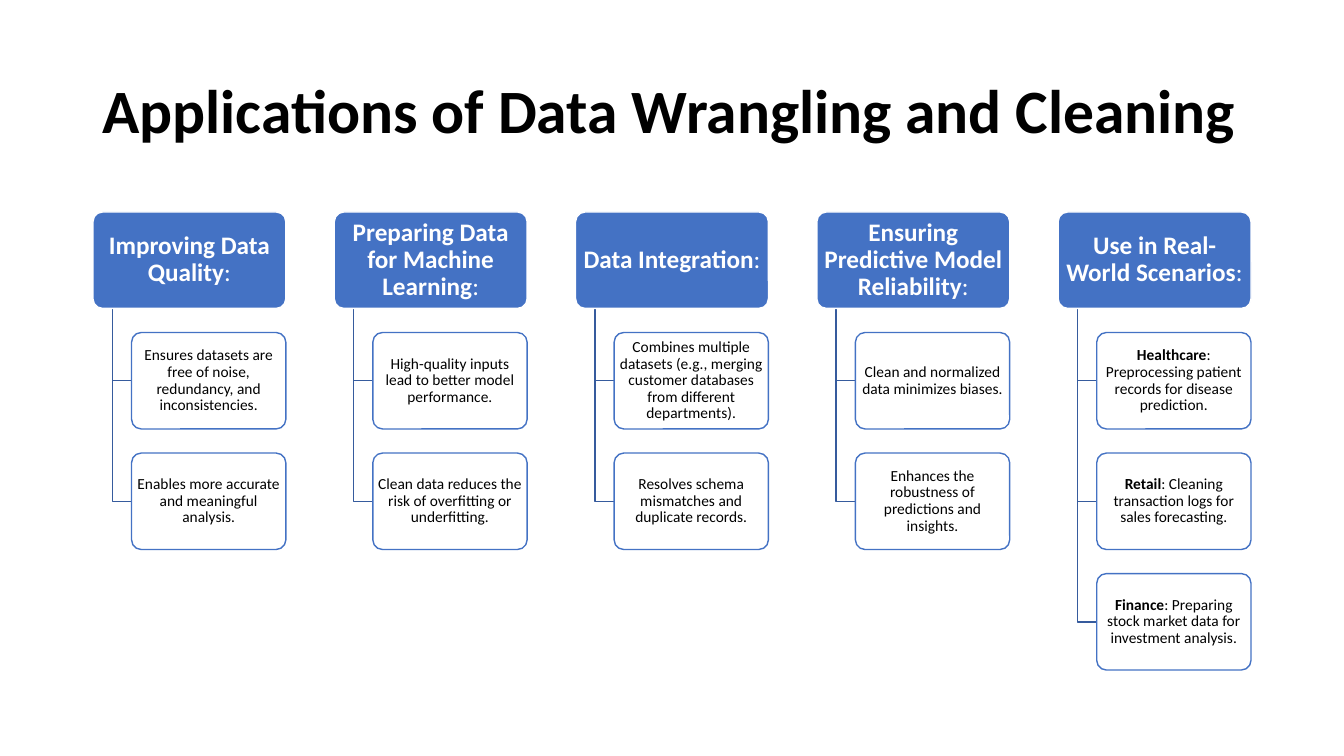
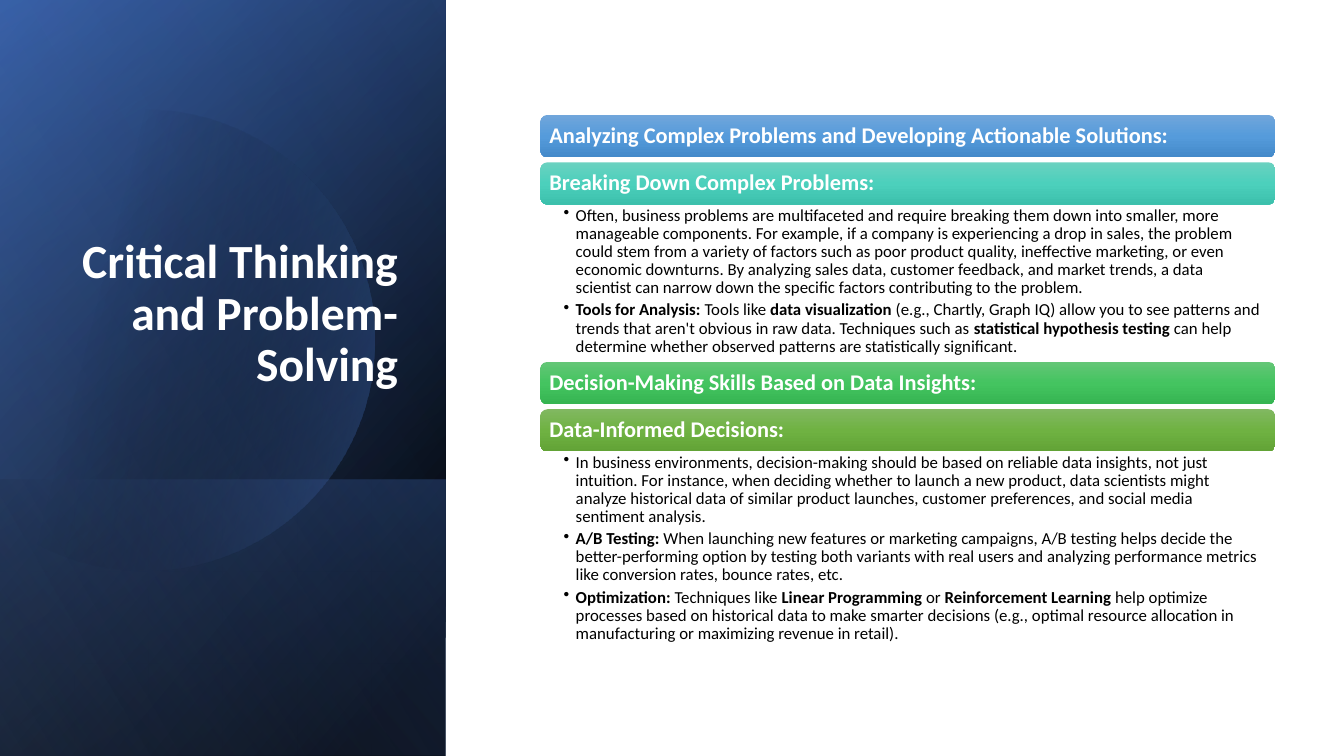
"""Build two slides on data wrangling and critical thinking."""
from math import cos, radians, sin

from pptx import Presentation
from pptx.dml.color import RGBColor
from pptx.enum.shapes import MSO_SHAPE
from pptx.enum.text import MSO_ANCHOR, MSO_AUTO_SIZE, PP_ALIGN
from pptx.oxml import parse_xml
from pptx.oxml.ns import nsdecls, qn
from pptx.util import Pt

LEFT, MID, RIGHT = PP_ALIGN.LEFT, PP_ALIGN.CENTER, PP_ALIGN.RIGHT
TOP, CENTER, BOTTOM = MSO_ANCHOR.TOP, MSO_ANCHOR.MIDDLE, MSO_ANCHOR.BOTTOM
RECT, ROUND = MSO_SHAPE.RECTANGLE, MSO_SHAPE.ROUNDED_RECTANGLE
FONT = "Calibri"
HUES = {"black": "000000", "white": "FFFFFF", "blue": "4472C4", "line": "365B9D",
        "navy": "2F5597", "pale": "8FAADC"}
RGB = {name: RGBColor.from_string(code) for name, code in HUES.items()}


def write(shape, *paras, size=12, color="black", align=LEFT, anchor=CENTER,
          inset=(7.2, 3.6, 7.2, 3.6), after=0, bullet=False):
    """Fill a shape with paragraphs; **marks** set bold."""
    frame = shape.text_frame
    frame.word_wrap = True
    frame.auto_size = MSO_AUTO_SIZE.NONE
    frame.vertical_anchor = anchor
    frame.margin_left, frame.margin_top, frame.margin_right, frame.margin_bottom = map(Pt, inset)
    for i, text in enumerate(paras):
        para = frame.add_paragraph() if i else frame.paragraphs[0]
        para.alignment = align
        para.line_spacing = 0.9
        para.space_before = Pt(0)
        para.space_after = Pt(after)
        if bullet:
            props = para._p.get_or_add_pPr()
            props.set("marL", str(Pt(8.64)))
            props.set("indent", str(-Pt(8.64)))
            props.append(parse_xml(f'<a:buChar {nsdecls("a")} char="•"/>'))
        for j, part in enumerate(text.split("**")):
            if part:
                run = para.add_run()
                run.text = part
                run.font.name = FONT
                run.font.size = Pt(size)
                run.font.bold = j % 2 == 1
                run.font.color.rgb = RGB[color]


def shade(shape, stops, angle):
    """Give a shape a linear gradient of (position, hex, opacity) stops."""
    shape.shadow.inherit = False
    shape.line.fill.background()
    shape.fill.gradient()
    marks = "".join(
        f'<a:gs pos="{pos * 1000}"><a:srgbClr val="{code}">'
        f'<a:alpha val="{alpha * 1000}"/></a:srgbClr></a:gs>' for pos, code, alpha in stops)
    props = shape._element.spPr
    props.replace(props.find(qn("a:gradFill")), parse_xml(
        f'<a:gradFill {nsdecls("a")} rotWithShape="1"><a:gsLst>{marks}</a:gsLst>'
        f'<a:lin ang="{angle * 60000}" scaled="0"/></a:gradFill>'))


deck = Presentation()
deck.slide_width, deck.slide_height = Pt(960), Pt(540)
slides = []
for text, box, look in [
    ("**Applications of Data Wrangling and Cleaning**", (66, 28.8, 828, 104.4), {"size": 44}),
    ("**Critical Thinking and Problem-Solving**", (46, 132.5, 245.5, 151),
     {"size": 34, "color": "white", "align": RIGHT, "anchor": BOTTOM}),
]:
    slide = deck.slides.add_slide(deck.slide_layouts[5])
    title = slide.shapes.title
    title.left, title.top, title.width, title.height = map(Pt, box)
    write(title, text, **look)
    slides.append(slide)

shapes = slides[0].shapes
GROUPS = [
    ("**Improving Data Quality**:",
     ["Ensures datasets are free of noise, redundancy, and inconsistencies.",
      "Enables more accurate and meaningful analysis."]),
    ("**Preparing Data for Machine Learning**:",
     ["High-quality inputs lead to better model performance.",
      "Clean data reduces the risk of overfitting or underfitting."]),
    ("**Data Integration**:",
     ["Combines multiple datasets (e.g., merging customer databases from different departments).",
      "Resolves schema mismatches and duplicate records."]),
    ("**Ensuring Predictive Model Reliability**:",
     ["Clean and normalized data minimizes biases.",
      "Enhances the robustness of predictions and insights."]),
    ("**Use in Real-World Scenarios**:",
     ["**Healthcare**: Preprocessing patient records for disease prediction.",
      "**Retail**: Cleaning transaction logs for sales forecasting.",
      "**Finance**: Preparing stock market data for investment analysis."]),
]
HEAD_W, LEAF_W, BOX_H, HEAD_Y = 137.8, 110.2, 68.9, 151.4
STEP_X, STEP_Y, STEM = 172.35, 86.1, 13.8
for col, (head, leaves) in enumerate(GROUPS):
    x = 66.4 + col * STEP_X
    cells = [(head, x, HEAD_Y, HEAD_W, "blue", "white",
              {"size": 18, "color": "white", "inset": (2.7, 2, 2.7, 2)})]
    for row, leaf in enumerate(leaves, 1):
        y = HEAD_Y + row * STEP_Y
        cells.append((leaf, x + 2 * STEM, y, LEAF_W, "white", "blue",
                      {"size": 11, "inset": (1, 1, 1, 1)}))
        foot = y + BOX_H / 2
        path = shapes.build_freeform(Pt(x + STEM), Pt(HEAD_Y + BOX_H))
        path.add_line_segments([(Pt(x + STEM), Pt(foot)), (Pt(x + 2 * STEM), Pt(foot))], close=False)
        link = path.convert_to_shape()
        link.shadow.inherit = False
        link.fill.background()
        link.line.color.rgb = RGB["line"]
        link.line.width = Pt(1)
    for text, left, top, width, fill, edge, look in cells:
        cell = shapes.add_shape(ROUND, Pt(left), Pt(top), Pt(width), Pt(BOX_H))
        cell.adjustments[0] = 0.1
        cell.shadow.inherit = False
        cell.fill.solid()
        cell.fill.fore_color.rgb = RGB[fill]
        cell.line.color.rgb = RGB[edge]
        cell.line.width = Pt(1)
        write(cell, text, align=MID, **look)

shapes = slides[1].shapes
PANEL_W, DISC_X, DISC_Y, DISC_R = 318.3, 103, 242.8, 164.5
BLACK, BLUE = HUES["black"], HUES["blue"]
LAYERS = [
    (0, [(8, BLACK, 100), (100, HUES["navy"], 100)], 220),
    (0, [(0, BLACK, 0), (99, BLUE, 46)], 240),
    (342.8, [(2, BLUE, 29), (100, BLACK, 30)], 140),
    (None, [(29, BLACK, 0), (100, BLUE, 43)], 14),
    (0, [(0, BLACK, 0), (99, HUES["pale"], 11)], 150),
]
for top, stops, angle in LAYERS:
    if top is None:
        arc = [(Pt(DISC_X + DISC_R * cos(radians(a))), Pt(DISC_Y + DISC_R * sin(radians(a))))
               for a in range(-128, 129, 2)]
        path = shapes.build_freeform(*arc[0])
        path.add_line_segments(arc[1:])
        layer = path.convert_to_shape()
    else:
        layer = shapes.add_shape(RECT, 0, Pt(top), Pt(PANEL_W), Pt(540 - top))
    shade(layer, stops, angle)
shapes._spTree.append(shapes.title._element)

TOPICS = [
    ("Analyzing Complex Problems and Developing Actionable Solutions:",
     ("71A6DB", "559BDB", "448ACA"), 0, []),
    ("Breaking Down Complex Problems:", ("6AD1C0", "4CD0BC", "3CC0AC"), 112.4, [
        "Often, business problems are multifaceted and require breaking them down into smaller, "
        "more manageable components. For example, if a company is experiencing a drop in sales, "
        "the problem could stem from a variety of factors such as poor product quality, "
        "ineffective marketing, or even economic downturns. By analyzing sales data, customer "
        "feedback, and market trends, a data scientist can narrow down the specific factors "
        "contributing to the problem.",
        "**Tools for Analysis:** Tools like **data visualization** (e.g., Chartly, Graph IQ) allow "
        "you to see patterns and trends that aren't obvious in raw data. Techniques such as "
        "**statistical hypothesis testing** can help determine whether observed patterns are "
        "statistically significant."]),
    ("Decision-Making Skills Based on Data Insights:", ("64C677", "44C460", "36B552"), 0, []),
    ("Data-Informed Decisions:", ("81B861", "6FB242", "62A336"), 143.3, [
        "In business environments, decision-making should be based on reliable data insights, not "
        "just intuition. For instance, when deciding whether to launch a new product, data "
        "scientists might analyze historical data of similar product launches, customer "
        "preferences, and social media sentiment analysis.",
        "**A/B Testing:** When launching new features or marketing campaigns, A/B testing helps "
        "decide the better-performing option by testing both variants with real users and "
        "analyzing performance metrics like conversion rates, bounce rates, etc.",
        "**Optimization:** Techniques like **Linear Programming** or **Reinforcement Learning** "
        "help optimize processes based on historical data to make smarter decisions (e.g., optimal "
        "resource allocation in manufacturing or maximizing revenue in retail)."]),
]
BAR_X, BAR_W, BAR_H, GAP = 386, 525, 30.2, 3.6
y = 82.1
for head, tones, depth, points in TOPICS:
    bar = shapes.add_shape(ROUND, Pt(BAR_X), Pt(y), Pt(BAR_W), Pt(BAR_H))
    shade(bar, [(pos, tone, 100) for pos, tone in zip((0, 50, 100), tones)], 90)
    write(bar, f"**{head}**", size=16, color="white", inset=(5, 4, 5, 4))
    y += BAR_H
    if points:
        body = shapes.add_textbox(Pt(BAR_X), Pt(y), Pt(BAR_W), Pt(depth))
        write(body, *points, anchor=TOP, inset=(16.6, 1.5, 8.6, 1.5), after=2.9, bullet=True)
    y += depth or GAP

deck.save("out.pptx")
